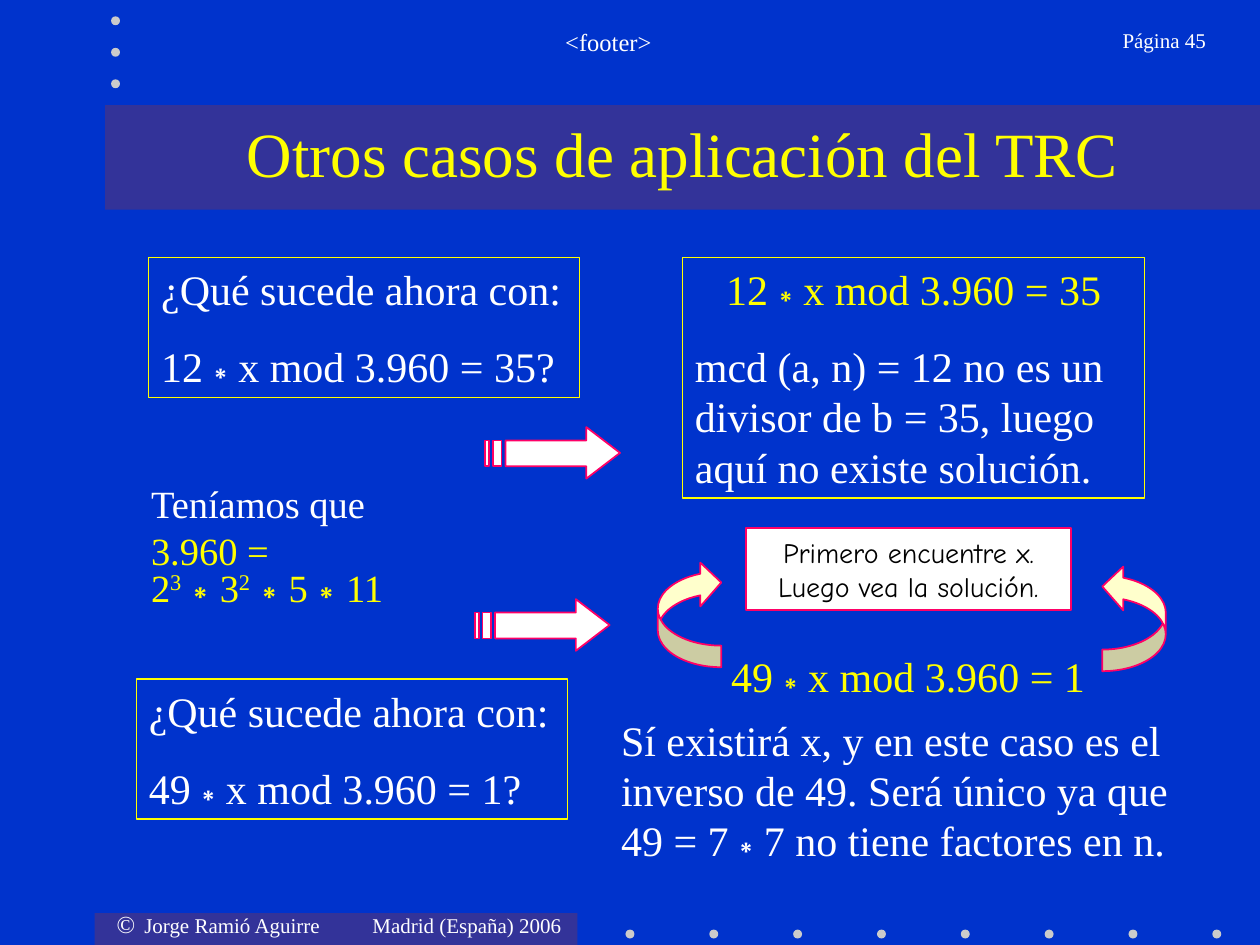
from itertools import groupby

from lxml.etree import SubElement
from pptx import Presentation
from pptx.dml.color import RGBColor
from pptx.enum.shapes import MSO_SHAPE
from pptx.enum.text import MSO_ANCHOR, MSO_AUTO_SIZE, PP_ALIGN
from pptx.oxml.ns import qn
from pptx.util import Cm, Pt

BLUE = RGBColor(0x00, 0x33, 0xCC)
INDIGO = RGBColor(0x33, 0x33, 0x99)
GREY = RGBColor(0xCB, 0xCB, 0xCB)
WHITE = RGBColor(0xFF, 0xFF, 0xFF)
BLACK = RGBColor(0x00, 0x00, 0x00)
YELLOW = RGBColor(0xFF, 0xFF, 0x00)
CREAM = RGBColor(0xFF, 0xFF, 0xCC)
PINK = RGBColor(0xFF, 0x00, 0x66)

SERIF = "Times New Roman"
EXPONENTS = {"²": "2", "³": "3"}
ARROW_OUTLINES = (
    ((0, 27), (8, 27), (8, 79), (0, 79)),
    ((16, 27), (33, 27), (33, 79), (16, 79)),
    ((41, 27), (204, 27), (204, 0), (272, 52), (204, 104), (204, 79), (41, 79)),
)


def place(shape, left, top, width, height):
    shape.left, shape.top = Cm(left), Cm(top)
    shape.width, shape.height = Cm(width), Cm(height)


def paint(figure, fill=None, line=None, line_width=1):
    figure.shadow.inherit = False
    if fill is None:
        figure.fill.background()
    else:
        figure.fill.solid()
        figure.fill.fore_color.rgb = fill
    if line is None:
        figure.line.fill.background()
    else:
        figure.line.color.rgb = line
        figure.line.width = Pt(line_width)


def add_figure(slide, preset, bounds, fill=None, line=None, line_width=1):
    figure = slide.shapes.add_shape(preset, *map(Cm, bounds))
    paint(figure, fill, line, line_width)
    return figure


def add_curved_arrow(slide, preset, left, top):
    arrow = add_figure(slide, preset, (left, top, 1.28, 2.15), CREAM, PINK)
    for index, value in enumerate((0.34, 0.69, 0.33)):
        arrow.adjustments[index] = value
    arrow.rotation = 180


def add_striped_arrow(slide, left, top):
    builder = slide.shapes.build_freeform(*ARROW_OUTLINES[0][0], scale=Cm(0.01))
    for index, (start, *corners) in enumerate(ARROW_OUTLINES):
        if index:
            builder.move_to(*start)
        builder.add_line_segments(corners, close=True)
    paint(builder.convert_to_shape(Cm(left), Cm(top)), WHITE, PINK)


def format_run(run, size, color, font=SERIF):
    run.font.size = Pt(size)
    run.font.name = font
    run.font.color.rgb = color


def symbol_kind(symbol):
    if symbol in EXPONENTS:
        return "exponent"
    return "product" if symbol == "∗" else "plain"


def write_formula(paragraph, formula, size, color, product_size=20):
    for kind, symbols in groupby(formula, symbol_kind):
        run = paragraph.add_run()
        run.text = "".join(EXPONENTS.get(symbol, symbol) for symbol in symbols)
        if kind == "product":
            format_run(run, product_size, color, "Arial")
        else:
            format_run(run, size, color)
        if kind == "exponent":
            run.font._element.set("baseline", "30000")


def write_statements(frame, statements, gap):
    frame.word_wrap = True
    frame.vertical_anchor = MSO_ANCHOR.MIDDLE
    for index, (statement, color, alignment) in enumerate(statements):
        paragraph = frame.add_paragraph() if index else frame.paragraphs[0]
        paragraph.alignment = alignment
        if index:
            paragraph.space_before = Pt(gap)
        write_formula(paragraph, statement, 24, color)


def add_boxed(slide, bounds, statements):
    box = add_figure(slide, MSO_SHAPE.RECTANGLE, bounds, None, YELLOW, 0.75)
    write_statements(box.text_frame, statements, 15)


def add_question(slide, left, top, equation):
    add_boxed(slide, (left, top, 8.69, 2.82), [
        ("¿Qué sucede ahora con:", WHITE, PP_ALIGN.JUSTIFY),
        (equation, WHITE, PP_ALIGN.JUSTIFY),
    ])


def add_label(slide, bounds, text, size, alignment):
    label = slide.shapes.add_textbox(*map(Cm, bounds))
    label.text_frame.word_wrap = True
    label.text_frame.text = text
    paragraph = label.text_frame.paragraphs[0]
    paragraph.alignment = alignment
    for run in paragraph.runs:
        format_run(run, size, WHITE)
    return paragraph


def add_copyright(slide):
    bounds = (2.1, 18.21, 9.8, 0.86)
    line = add_label(slide, bounds, "©", 14, PP_ALIGN.LEFT)
    stops = SubElement(line._p.get_or_add_pPr(), qn("a:tabLst"))
    for position in (0.56, 5.16):
        SubElement(stops, qn("a:tab"), pos=str(Cm(position)), algn="l")
    author = line.add_run()
    author.text = "\tJorge Ramió Aguirre\tMadrid (España) 2006"
    format_run(author, 12, WHITE)


def add_decoration(slide):
    for band in ((1.91, 18.41, 9.73, 0.64), (2.12, 2.12, 23.28, 2.11)):
        add_figure(slide, MSO_SHAPE.RECTANGLE, band, INDIGO)
    dots = [(12.61 + 1.69 * step, 18.74) for step in range(8)]
    dots += [(2.24, 0.33 + 0.635 * step) for step in range(3)]
    for left, top in dots:
        add_figure(slide, MSO_SHAPE.OVAL, (left, top, 0.18, 0.18), GREY)


def fill_title(title):
    place(title, 2.97, 2.11, 21.59, 1.91)
    frame = title.text_frame
    frame.text = "Otros casos de aplicación del TRC"
    frame.auto_size = MSO_AUTO_SIZE.NONE
    frame.vertical_anchor = MSO_ANCHOR.MIDDLE
    frame.paragraphs[0].alignment = PP_ALIGN.CENTER
    format_run(frame.paragraphs[0].runs[0], 36, YELLOW)


def fill_factorization(body):
    place(body, 2.79, 9.73, 6.93, 2.11)
    frame = body.text_frame
    frame.auto_size = MSO_AUTO_SIZE.NONE
    reminder, factors = frame.paragraphs[0], frame.add_paragraph()
    for paragraph in (reminder, factors):
        properties = paragraph._p.get_or_add_pPr()
        properties.set("marL", "0")
        properties.set("indent", "0")
        SubElement(properties, qn("a:buNone"))
        paragraph.line_spacing = 0.8
    reminder.space_before = Pt(0)
    factors.space_before = Pt(5.5)
    write_formula(reminder, "Teníamos que", 22, WHITE)
    write_formula(factors, "3.960 =", 22, YELLOW)
    factors.add_line_break()
    write_formula(factors, "2³∗3²∗5∗11", 22, YELLOW, 22)


def add_answer(slide):
    answer = slide.shapes.add_textbox(Cm(12.27), Cm(12.98), Cm(12.07), Cm(4.6))
    write_statements(answer.text_frame, [
        ("49∗x mod 3.960 = 1", YELLOW, PP_ALIGN.CENTER),
        ("Sí existirá x, y en este caso es el inverso de 49. Será único "
         "ya que 49 = 7∗7 no tiene factores en n.", WHITE, PP_ALIGN.LEFT),
    ], 7.5)


def add_hint(slide):
    bounds = (15.04, 10.65, 6.55, 1.65)
    hint = add_figure(slide, MSO_SHAPE.RECTANGLE, bounds, WHITE, PINK)
    frame = hint.text_frame
    frame.margin_left = frame.margin_right = Cm(0.15)
    frame.margin_top = frame.margin_bottom = Cm(0.15)
    frame.word_wrap = True
    frame.vertical_anchor = MSO_ANCHOR.MIDDLE
    frame.text = "Primero encuentre x. Luego vea la solución."
    frame.paragraphs[0].alignment = PP_ALIGN.CENTER
    format_run(frame.paragraphs[0].runs[0], 16, BLACK, "Comic Neue")


def main():
    presentation = Presentation()
    presentation.slide_width, presentation.slide_height = Cm(25.4), Cm(19.05)
    slide = presentation.slides.add_slide(presentation.slide_layouts[1])
    slide.background.fill.solid()
    slide.background.fill.fore_color.rgb = BLUE
    title, body = slide.placeholders
    add_decoration(slide)
    for placeholder in (body, title):
        slide.shapes._spTree.append(placeholder._element)
    fill_title(title)
    fill_factorization(body)
    add_copyright(slide)
    add_label(slide, (4.01, 0.43, 16.51, 1.27), "<footer>", 14, PP_ALIGN.CENTER)
    add_label(slide, (21.08, 0.43, 3.48, 1.27), "Página 45", 12, PP_ALIGN.RIGHT)
    add_question(slide, 3, 5.19, "12∗x mod 3.960 = 35?")
    add_question(slide, 2.75, 13.69, "49∗x mod 3.960 = 1?")
    add_boxed(slide, (13.76, 5.19, 9.32, 4.85), [
        ("12∗x mod 3.960 = 35", YELLOW, PP_ALIGN.CENTER),
        ("mcd (a, n) = 12 no es un divisor de b = 35, luego aquí no existe "
         "solución.", WHITE, PP_ALIGN.LEFT),
    ])
    add_answer(slide)
    add_striped_arrow(slide, 9.78, 8.61)
    add_striped_arrow(slide, 9.57, 12.08)
    add_hint(slide)
    add_curved_arrow(slide, MSO_SHAPE.CURVED_LEFT_ARROW, 13.26, 11.3)
    add_curved_arrow(slide, MSO_SHAPE.CURVED_RIGHT_ARROW, 22.22, 11.38)
    presentation.save("out.pptx")


if __name__ == "__main__":
    main()
